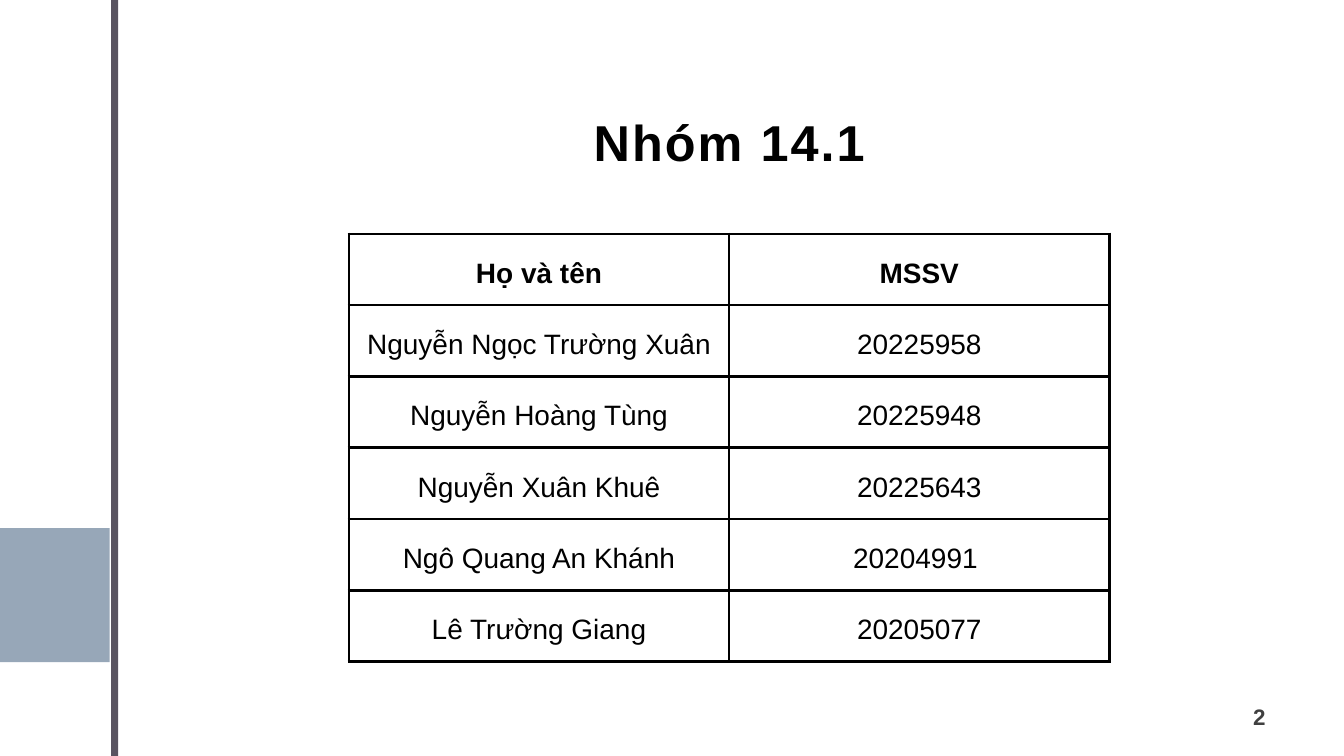
from pptx import Presentation
from pptx.dml.color import RGBColor
from pptx.enum.shapes import MSO_SHAPE
from pptx.enum.text import MSO_ANCHOR, PP_ALIGN
from pptx.oxml import parse_xml
from pptx.oxml.ns import nsdecls
from pptx.util import Pt

MEMBERS = [
    ("Họ và tên", "MSSV"),
    ("Nguyễn Ngọc Trường Xuân", "20225958"),
    ("Nguyễn Hoàng Tùng", "20225948"),
    ("Nguyễn Xuân Khuê", "20225643"),
    ("Ngô Quang An Khánh", "20204991 "),
    ("Lê Trường Giang", "20205077"),
]


def rgb(code):
    return RGBColor.from_string(code)


class SlideBuilder:
    """Draw styled elements on one slide, with lengths in points."""

    font = "Arial"
    ink = "000000"

    def __init__(self, slide):
        self.slide = slide

    def box(self, x, y, w, h, color, alpha=100):
        sp = self.slide.shapes.add_shape(MSO_SHAPE.RECTANGLE, Pt(x), Pt(y), Pt(w), Pt(h))
        sp.shadow.inherit = False
        sp.line.fill.background()
        sp.fill.solid()
        sp.fill.fore_color.rgb = rgb(color)
        if alpha < 100:
            clr = sp.fill._xPr.solidFill[0]
            clr.append(parse_xml(f'<a:alpha {nsdecls("a")} val="{alpha * 1000}"/>'))

    def format(self, p, size, color, bold, align, leading, spacing=0):
        p.alignment = align
        p.line_spacing = Pt(leading)
        for r in p.runs:
            r.font.name = self.font
            r.font.size = Pt(size)
            r.font.bold = bold
            r.font.color.rgb = rgb(color)
            if spacing:
                r.font._element.set("spc", str(round(spacing * 100)))

    def text(self, x, y, w, h, text, size, color, align, leading):
        tf = self.slide.shapes.add_textbox(Pt(x), Pt(y), Pt(w), Pt(h)).text_frame
        tf.word_wrap = True
        tf.margin_left = tf.margin_right = tf.margin_top = tf.margin_bottom = 0
        tf.text = text
        self.format(tf.paragraphs[0], size, color, True, align, leading, 2.2)

    def border(self, cell, width):
        tc_pr = cell._tc.get_or_add_tcPr()
        for i, side in enumerate("LRTB"):
            tc_pr.insert(i, parse_xml(
                f'<a:ln{side} {nsdecls("a")} w="{Pt(width)}"><a:solidFill>'
                f'<a:srgbClr val="{self.ink}"/></a:solidFill></a:ln{side}>'))

    def table(self, x, y, w, h, rows):
        n_rows, n_cols = len(rows), len(rows[0])
        table = self.slide.shapes.add_table(n_rows, n_cols, Pt(x), Pt(y), Pt(w), Pt(h)).table
        for i, values in enumerate(rows):
            table.rows[i].height = Pt(h / n_rows)
            for j, value in enumerate(values):
                cell = table.cell(i, j)
                cell.fill.background()
                cell.vertical_anchor = MSO_ANCHOR.MIDDLE
                cell.margin_left = cell.margin_right = Pt(15)
                cell.margin_top = cell.margin_bottom = Pt(15)
                cell.text = value
                p = cell.text_frame.paragraphs[0]
                self.format(p, 30, self.ink, i == 0, PP_ALIGN.CENTER, 42)
                self.border(cell, 3)


def main():
    prs = Presentation()
    prs.slide_width, prs.slide_height = Pt(1440), Pt(810)
    s = SlideBuilder(prs.slides.add_slide(prs.slide_layouts[6]))
    s.box(557, 0, 883, 810, "FFFFFF", 75)
    s.box(121, 0, 1317, 558.5, "FFFFFF", 75)
    s.box(-1.5, 566, 119, 143.5, "97A7B8")
    s.box(119, 0, 7.5, 810, "595460")
    s.table(373.75, 250.5, 815, 458.5, MEMBERS)
    s.text(198.5, 87, 1166, 86, "Nhóm 14.1", 54, s.ink, PP_ALIGN.CENTER, 97.2)
    s.text(1257, 753, 99, 39, "2", 24, "404040", PP_ALIGN.RIGHT, 28.8)
    prs.save("out.pptx")


if __name__ == "__main__":
    main()
